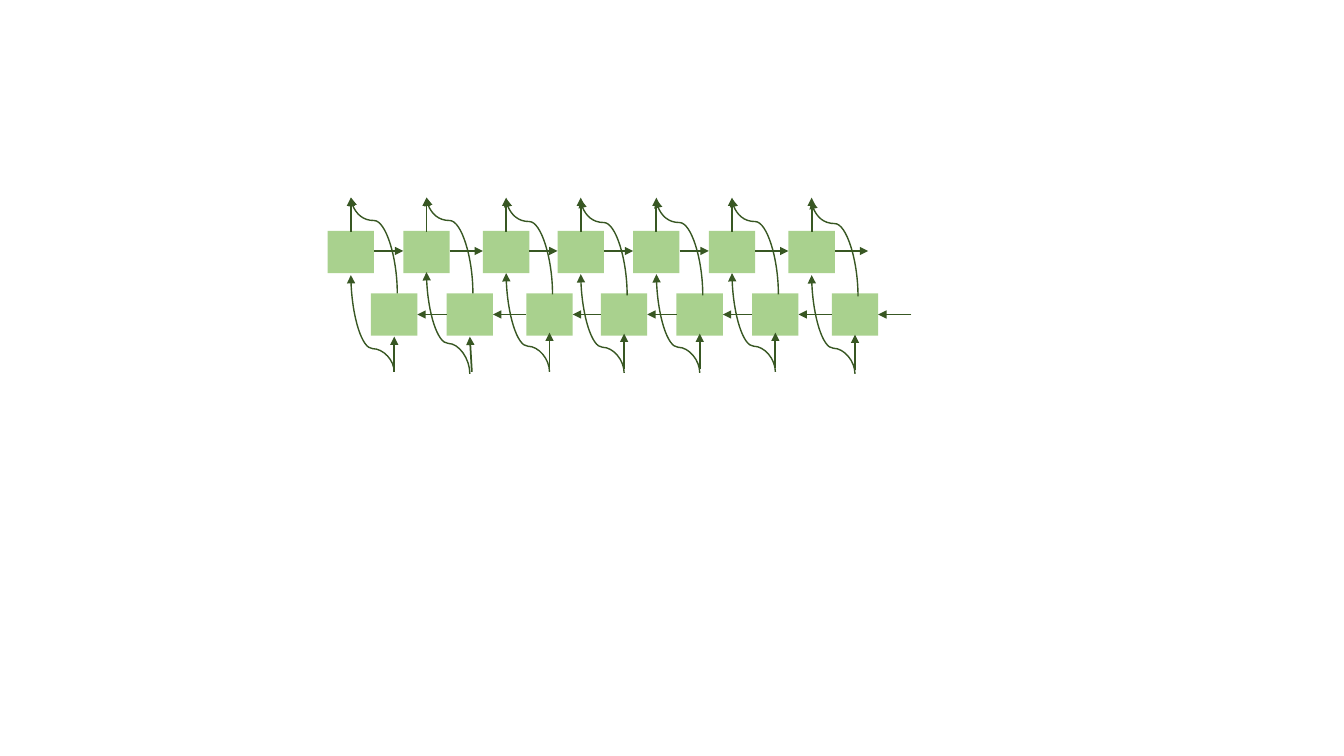
from lxml.etree import SubElement
from pptx import Presentation
from pptx.dml.color import RGBColor
from pptx.enum.shapes import MSO_CONNECTOR, MSO_SHAPE
from pptx.oxml.ns import qn
from pptx.util import Inches, Pt

CELL_GREEN, ARROW_GREEN = "A9D18E", "385723"
CELL_W, CELL_H = 0.46, 0.42
FORWARD_Y, BACKWARD_Y = 2.29, 2.91
BACKWARD_SHIFT = 0.43
LAST_ARROW = 0.33

# Per time step: forward cell left, input curve start, end and bend,
# output curve start, input arrow start
steps = [
    (3.25, 3.69, 2.73, 0.24, 2.91, 3.69),
    (4.00, 3.71, 2.70, 0.30, 2.91, 3.69),
    (4.79, 3.69, 2.71, 0.26, 2.92, 3.65),
    (5.53, 3.70, 2.72, 0.26, 2.93, 3.66),
    (6.28, 3.70, 2.72, 0.26, 2.93, 3.66),
    (7.03, 3.69, 2.71, 0.26, 2.92, 3.65),
    (7.82, 3.71, 2.73, 0.26, 2.94, 3.67),
]

prs = Presentation()
prs.slide_width, prs.slide_height = Inches(13.33), Inches(7.5)
slide = prs.slides.add_slide(prs.slide_layouts[6])


def add_cell(left, top):
    cell = slide.shapes.add_shape(MSO_SHAPE.RECTANGLE, Inches(left), Inches(top),
                                  Inches(CELL_W), Inches(CELL_H))
    cell.shadow.inherit = False
    cell.fill.solid()
    cell.fill.fore_color.rgb = RGBColor.from_string(CELL_GREEN)
    cell.line.fill.background()


def add_arrow(x1, y1, x2, y2, bend=None):
    """Straight arrow, or an S-curve rising to the left when bend is given."""
    kind, width = MSO_CONNECTOR.STRAIGHT, 1.25
    if bend is not None:
        kind, width = MSO_CONNECTOR.CURVE, 1
        # The curve lies on its side before it is turned by 270 degrees
        mid_x, mid_y = (x1 + x2) / 2, (y1 + y2) / 2
        half_w, half_h = (y1 - y2) / 2, (x1 - x2) / 2
        x1, x2 = mid_x - half_w, mid_x + half_w
        y1, y2 = mid_y + half_h, mid_y - half_h
    arrow = slide.shapes.add_connector(kind, Inches(x1), Inches(y1), Inches(x2), Inches(y2))
    arrow.line.width = Pt(width)
    arrow.line.color.rgb = RGBColor.from_string(ARROW_GREEN)
    SubElement(arrow.line._get_or_add_ln(), qn("a:tailEnd"), type="triangle")
    props = arrow._element.spPr
    SubElement(props, qn("a:effectLst"))
    if bend is not None:
        props.find(qn("a:xfrm")).set("rot", str(270 * 60000))
        guides = props.find(qn("a:prstGeom")).get_or_add_avLst()
        SubElement(guides, qn("a:gd"), name="adj1", fmla=f"val {round(bend * 100000)}")


# Forward and backward cells
for left, *_ in steps:
    add_cell(left, FORWARD_Y)
    add_cell(left + BACKWARD_SHIFT, BACKWARD_Y)

# State passed to the right in the forward row, to the left in the backward row
lefts = [step[0] for step in steps]
next_lefts = lefts[1:] + [lefts[-1] + CELL_W + LAST_ARROW]
for left, next_left in zip(lefts, next_lefts):
    right = left + CELL_W
    add_arrow(right, 2.49, next_left, 2.49)
    add_arrow(next_left + BACKWARD_SHIFT, 3.12, right + BACKWARD_SHIFT, 3.12)

# Inputs and outputs of each step
for column, (left, curve_from, curve_to, bend, output_from, input_from) in enumerate(steps):
    forward_x = left + CELL_W / 2
    backward_x = forward_x + BACKWARD_SHIFT
    input_x = backward_x + (0.02 if column == 1 else 0)
    add_arrow(forward_x, 2.3, forward_x, 1.96)
    add_arrow(input_x, input_from, backward_x, input_from - 0.35)
    add_arrow(backward_x, curve_from, forward_x, curve_to, bend)
    add_arrow(backward_x + 0.03, output_from, forward_x, output_from - 0.95, 0.76)

prs.save("out.pptx")
